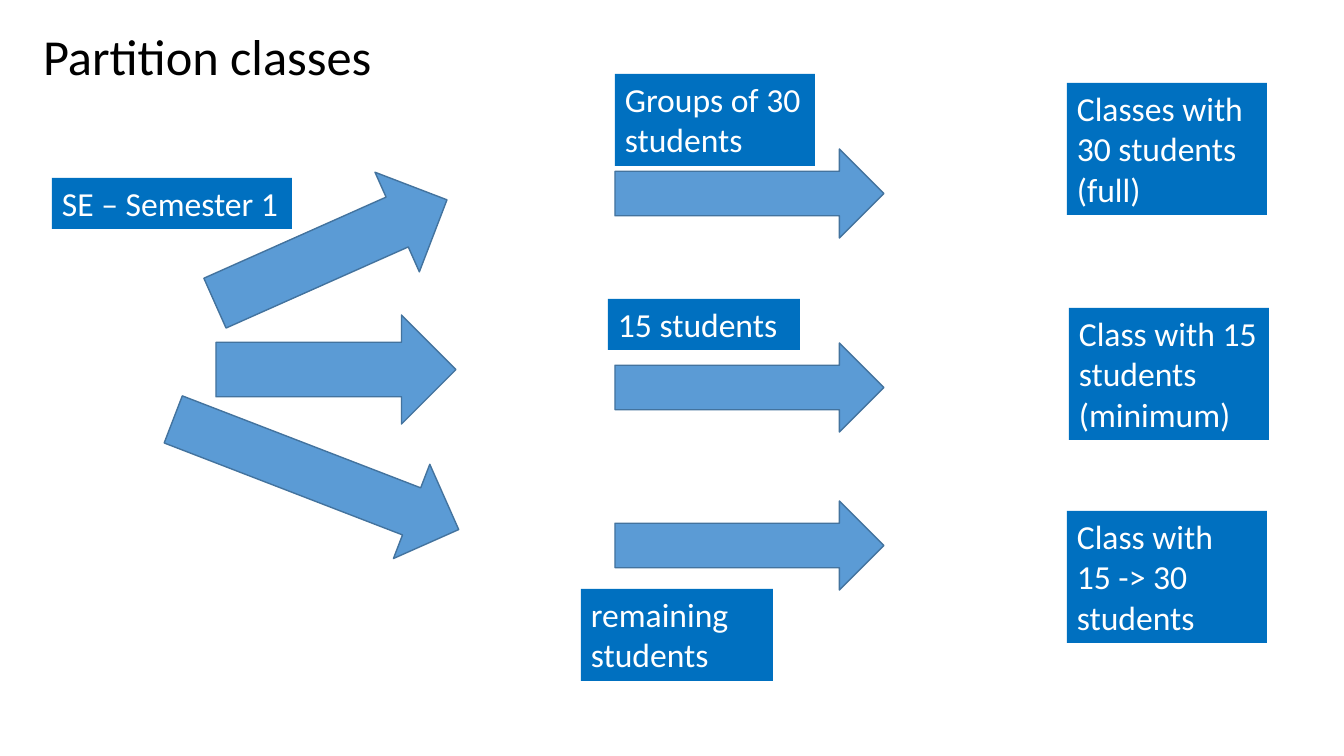
from lxml import etree
from pptx import Presentation
from pptx.dml.color import RGBColor
from pptx.enum.shapes import MSO_SHAPE
from pptx.enum.text import MSO_ANCHOR, PP_ALIGN
from pptx.oxml.ns import qn
from pptx.util import Pt

RECT, ARROW = MSO_SHAPE.RECTANGLE, MSO_SHAPE.RIGHT_ARROW
TOP, LEFT = MSO_ANCHOR.TOP, PP_ALIGN.LEFT
PX = 914400 / 100.8


def px(*lengths):
    return [round(n * PX) for n in lengths]


def write(sp, text, size=24, color="FFFFFF", spacing=1.0):
    tf = sp.text_frame
    tf.word_wrap = True
    tf.vertical_anchor = TOP
    p = tf.paragraphs[0]
    p.text = text
    p.alignment = LEFT
    p.line_spacing = spacing
    p.space_before = Pt(0)
    for r in p.runs:
        r.font.name = "Calibri"
        r.font.size = Pt(size)
        r.font.color.rgb = RGBColor.from_string(color)


prs = Presentation()
prs.slide_width, prs.slide_height = px(1344, 756)
s = prs.slides.add_slide(prs.slide_layouts[5])

title = s.shapes.title
title.left, title.top, title.width, title.height = px(33, 27, 1269, 708)
title.fill.solid()
title.fill.fore_color.rgb = RGBColor.from_string("FFFFFF")
color = title.fill._xPr.find(qn("a:solidFill"))[0]
etree.SubElement(color, qn("a:alpha")).set("val", "80000")
title.line.color.rgb = RGBColor.from_string("FFFFFF")
title.line.width = Pt(0.75)
write(title, "Partition classes", size=36, color="000000", spacing=0.9)

labels = [
    ("SE – Semester 1", 52, 178, 240, 51),
    ("Groups of 30 students", 615, 74, 200, 92),
    ("15 students", 608, 299, 192, 51),
    ("remaining students", 581, 589, 192, 92),
    ("Classes with 30 students (full)", 1067, 83, 200, 132),
    ("Class with 15 students (minimum)", 1069, 308, 200, 132),
    ("Class with\v15 -> 30 students", 1067, 511, 200, 132),
]
for text, *box in labels:
    sp = s.shapes.add_shape(RECT, *px(*box))
    sp.shadow.inherit = False
    sp.fill.solid()
    sp.fill.fore_color.rgb = RGBColor.from_string("0070C0")
    sp.line.fill.background()
    write(sp, text)

arrows = [
    (204, 197, 254, 109, 336),
    (216, 315, 240, 109, 0),
    (163, 424, 306, 101, 21.1),
]
arrows += [(615, top, 269, 89, 0) for top in (149, 343, 501)]
for *box, angle in arrows:
    sp = s.shapes.add_shape(ARROW, *px(*box))
    sp.rotation = angle
    sp.shadow.inherit = False
    sp.fill.solid()
    sp.fill.fore_color.rgb = RGBColor.from_string("5B9BD5")
    sp.line.color.rgb = RGBColor.from_string("43739E")
    sp.line.width = Pt(1)

prs.save("out.pptx")
